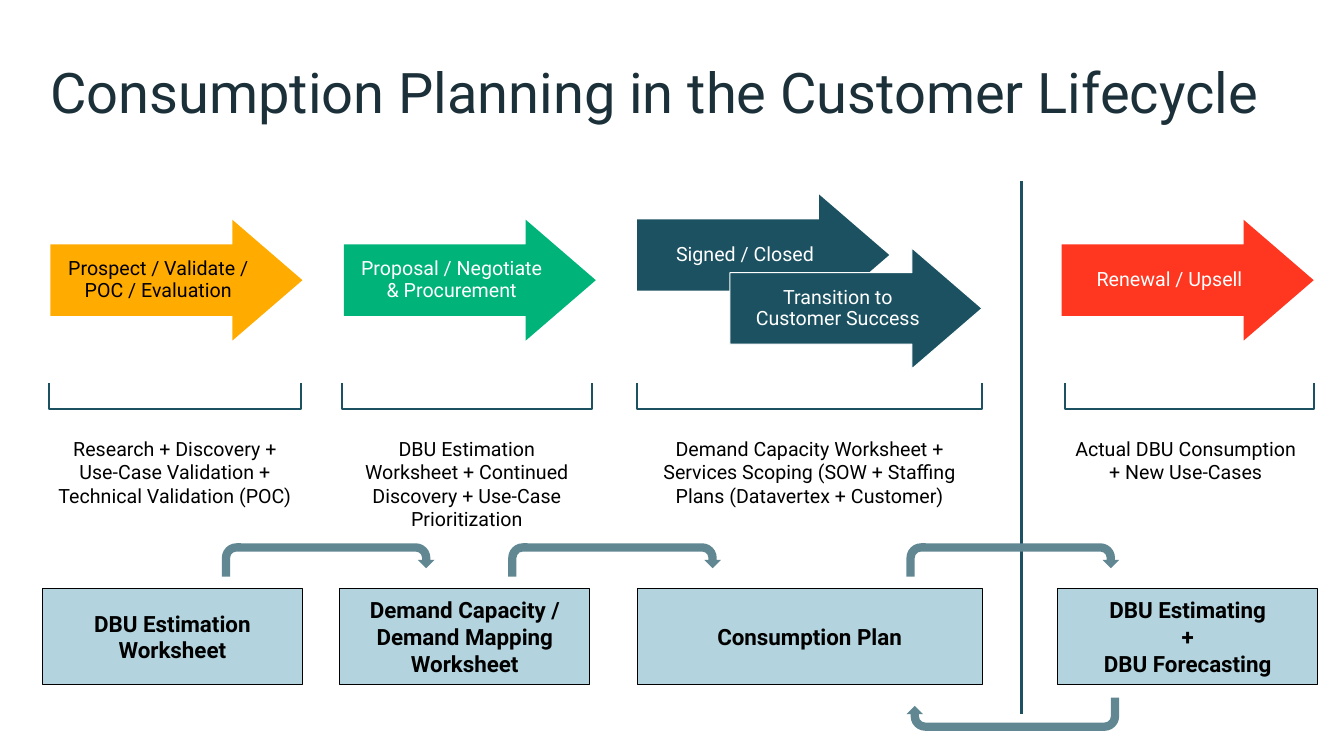
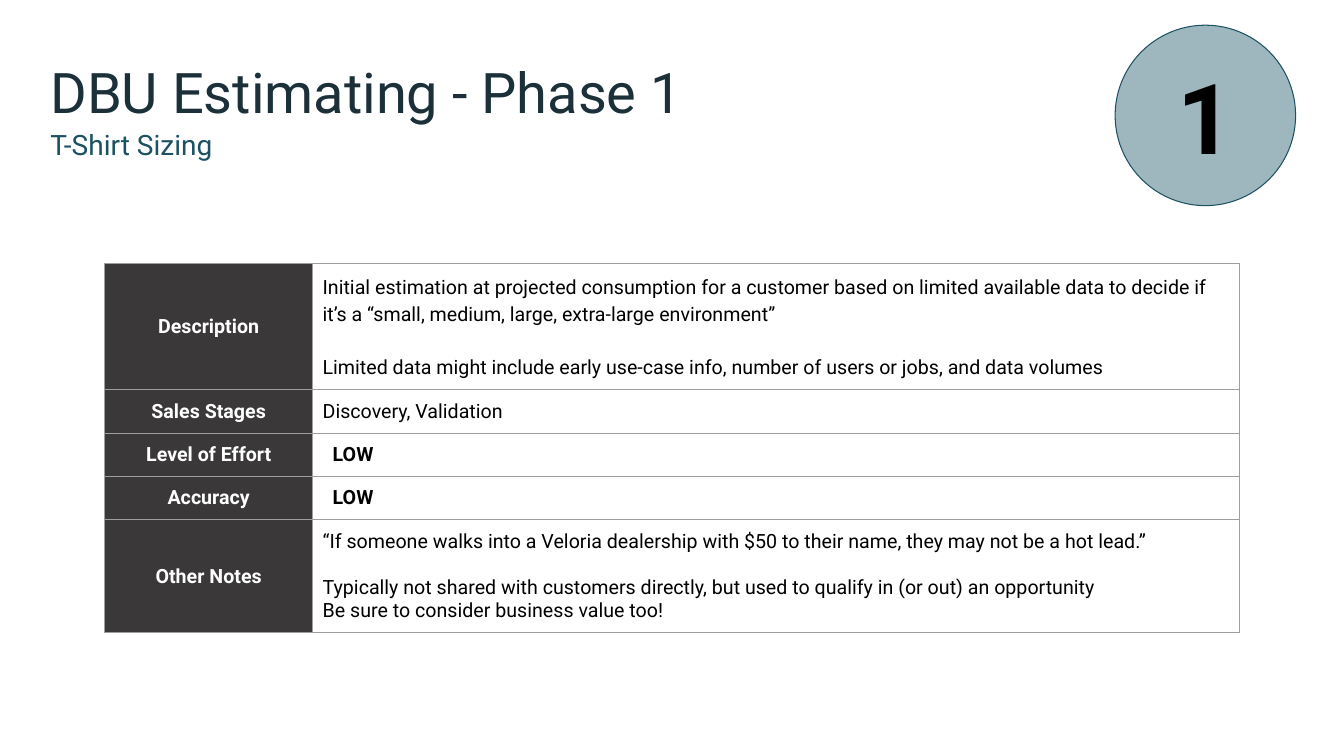
from dataclasses import dataclass
from typing import NamedTuple

from lxml.etree import SubElement
from pptx import Presentation
from pptx.dml.color import RGBColor
from pptx.enum.shapes import MSO_CONNECTOR, MSO_SHAPE
from pptx.enum.text import MSO_ANCHOR, MSO_AUTO_SIZE, PP_ALIGN
from pptx.oxml import parse_xml
from pptx.oxml.ns import nsdecls, qn
from pptx.util import Inches, Pt

FONT = "Roboto"
BLACK, WHITE = "000000", "FFFFFF"
NAVY, TEAL, SLATE = "1B3038", "1B5161", "618793"
SKY, MIST, CHARCOAL, GRAY = "B3D4DE", "9EB7BF", "3A3838", "9E9E9E"


class Span(NamedTuple):
    left: float
    width: float


@dataclass(frozen=True)
class TextStyle:
    size: float
    color: str = BLACK
    bold: bool = False
    align: PP_ALIGN = PP_ALIGN.CENTER
    anchor: MSO_ANCHOR = MSO_ANCHOR.MIDDLE
    margins: tuple = (0.1, 0.1, 0.1, 0.1)
    spacing: float = 1.0
    gap: float = 0


@dataclass(frozen=True)
class Stage:
    bracket: Span
    note_span: Span
    note: str
    box: Span
    tool: str


@dataclass(frozen=True)
class Arrow:
    left: float
    top: float
    fill: str
    text: str
    color: str = WHITE
    line: str | None = None


@dataclass(frozen=True)
class Row:
    height: float
    label: str
    text: str
    style: TextStyle


TITLE = TextStyle(40, NAVY, align=PP_ALIGN.LEFT, anchor=MSO_ANCHOR.BOTTOM,
                  margins=(0, 0, 0, 0), spacing=0.9)
SUBTITLE = TextStyle(20, TEAL, align=PP_ALIGN.LEFT, anchor=MSO_ANCHOR.TOP,
                     margins=(0, 0.05, 0, 0.05), spacing=0.9)
NOTE = TextStyle(14, anchor=MSO_ANCHOR.TOP)
TOOL = TextStyle(16, bold=True)
NUMBER = TextStyle(70, bold=True)
LABEL = TextStyle(14, WHITE, True)
BODY = TextStyle(14, align=PP_ALIGN.LEFT, anchor=MSO_ANCHOR.TOP)
SPACED = TextStyle(14, align=PP_ALIGN.LEFT, anchor=MSO_ANCHOR.TOP, spacing=1.15, gap=19)
RATING = TextStyle(14, bold=True, align=PP_ALIGN.LEFT, anchor=MSO_ANCHOR.TOP,
                   margins=(0.2, 0.1, 0.1, 0.1))

STAGES = [
    Stage(Span(0.49, 2.5), Span(0.46, 2.55),
          "Research + Discovery + Use-Case Validation + Technical Validation (POC)",
          Span(0.42, 2.58), "DBU Estimation Worksheet"),
    Stage(Span(3.39, 2.48), Span(3.39, 2.48),
          "DBU Estimation Worksheet + Continued Discovery + Use-Case Prioritization",
          Span(3.37, 2.48), "Demand Capacity /\nDemand Mapping Worksheet"),
    Stage(Span(6.32, 3.42), Span(6.32, 3.42),
          "Demand Capacity Worksheet + Services Scoping (SOW + Staffing Plans "
          "(Datavertex + Customer)",
          Span(6.32, 3.42), "Consumption Plan"),
    Stage(Span(10.56, 2.47), Span(10.52, 2.48),
          "Actual DBU Consumption + New Use-Cases",
          Span(10.49, 2.58), "DBU Estimating\n+\nDBU Forecasting"),
]
ARROWS = [
    Arrow(0.5, 2.18, "FFAB00", "Prospect / Validate /\nPOC / Evaluation", BLACK),
    Arrow(3.41, 2.18, "00B379", "Proposal / Negotiate & Procurement"),
    Arrow(6.32, 1.93, TEAL, "Signed / Closed"),
    Arrow(7.24, 2.46, TEAL, "Transition to Customer Success", line=WHITE),
    Arrow(10.53, 2.18, "FF3620", "Renewal / Upsell"),
]
ROWS = [
    Row(1.25, "Description",
        "Initial estimation at projected consumption for a customer based on limited "
        "available data to decide if it’s a “small, medium, large, extra-large "
        "environment”\nLimited data might include early use-case info, number of users "
        "or jobs, and data volumes", SPACED),
    Row(0.43, "Sales Stages", "Discovery, Validation", BODY),
    Row(0.43, "Level of Effort", "LOW", RATING),
    Row(0.43, "Accuracy", "LOW", RATING),
    Row(1.12, "Other Notes",
        "“If someone walks into a Veloria dealership with $50 to their name, they may "
        "not be a hot lead.”\nTypically not shared with customers directly, but used to "
        "qualify in (or out) an opportunity\nBe sure to consider business value too!",
        BODY),
]


def rgb(color: str) -> RGBColor:
    """Turn a hex string into a colour."""
    return RGBColor.from_string(color)


def write(tf, text: str, style: TextStyle) -> None:
    """Fill a text frame and format its paragraphs and runs."""
    tf.text = text
    for i, p in enumerate(tf.paragraphs):
        p.alignment = style.align
        p.line_spacing = style.spacing
        p.space_before = Pt(style.gap if i else 0)
        for r in p.runs:
            r.font.name = FONT
            r.font.size = Pt(style.size)
            r.font.bold = style.bold
            r.font.color.rgb = rgb(style.color)


def set_frame(tf, text: str, style: TextStyle) -> None:
    """Lay out the text frame of a shape and write its text."""
    tf.word_wrap = True
    tf.auto_size = MSO_AUTO_SIZE.NONE
    tf.vertical_anchor = style.anchor
    tf.margin_left, tf.margin_top, tf.margin_right, tf.margin_bottom = map(
        Inches, style.margins)
    write(tf, text, style)


def add_slide(prs, title: str, width: float):
    """Add a title-only slide with the shared title style."""
    s = prs.slides.add_slide(prs.slide_layouts[5])
    sp = s.shapes.title
    sp.left, sp.top, sp.width, sp.height = map(Inches, (0.5, 0.25, width, 1))
    set_frame(sp.text_frame, title, TITLE)
    return s


def add_text(s, left: float, top: float, width: float, height: float,
             text: str, style: TextStyle) -> None:
    """Add a wrapped text box."""
    sp = s.shapes.add_textbox(*map(Inches, (left, top, width, height)))
    set_frame(sp.text_frame, text, style)


def add_shape(s, kind: MSO_SHAPE, left: float, top: float, width: float,
              height: float, fill: str, line: str | None = None):
    """Add a flat preset shape."""
    sp = s.shapes.add_shape(kind, *map(Inches, (left, top, width, height)))
    sp.shadow.inherit = False
    sp.fill.solid()
    sp.fill.fore_color.rgb = rgb(fill)
    if line:
        sp.line.color.rgb = rgb(line)
        sp.line.width = Pt(0.75)
    else:
        sp.line.fill.background()
    return sp


def add_arrow(s, arrow: Arrow) -> None:
    """Add one labelled lifecycle arrow."""
    sp = add_shape(s, MSO_SHAPE.RIGHT_ARROW, arrow.left, arrow.top, 2.5, 1.2,
                   arrow.fill, arrow.line)
    sp.adjustments[0], sp.adjustments[1] = 0.59, 0.58
    style = TextStyle(14, arrow.color, margins=(0.15, 0.05, 0.1, 0.05), spacing=0.9)
    set_frame(sp.text_frame, arrow.text, style)


def add_bracket(s, span: Span) -> None:
    """Add the open bracket under a stage."""
    left, right = Inches(span.left), Inches(span.left + span.width)
    top, bottom = Inches(3.8), Inches(4.06)
    outline = s.shapes.build_freeform(left, top)
    outline.add_line_segments([(left, bottom), (right, bottom), (right, top)], close=False)
    sp = outline.convert_to_shape()
    sp.shadow.inherit = False
    sp.fill.background()
    sp.line.color.rgb = rgb(TEAL)
    sp.line.width = Pt(1.5)


def add_stage(s, stage: Stage) -> None:
    """Add the bracket, note and tool box of a stage."""
    add_bracket(s, stage.bracket)
    add_text(s, stage.note_span.left, 4.23, stage.note_span.width, 0.8, stage.note, NOTE)
    sp = add_shape(s, MSO_SHAPE.RECTANGLE, stage.box.left, 5.84, stage.box.width, 0.95,
                   SKY, BLACK)
    set_frame(sp.text_frame, stage.tool, TOOL)


def add_divider(s) -> None:
    """Add the vertical line before renewal."""
    line = s.shapes.add_connector(MSO_CONNECTOR.STRAIGHT,
                                  *map(Inches, (10.13, 1.8, 10.13, 7.08)))
    line.line.color.rgb = rgb(TEAL)
    line.line.width = Pt(2.25)
    SubElement(line._element.spPr, qn("a:effectLst"))


def set_cell(cell, text: str, style: TextStyle, fill: str | None = None) -> None:
    """Write a table cell with its fill and borders."""
    cell.vertical_anchor = style.anchor
    cell.margin_left, cell.margin_top, cell.margin_right, cell.margin_bottom = map(
        Inches, style.margins)
    write(cell.text_frame, text, style)
    if fill:
        cell.fill.solid()
        cell.fill.fore_color.rgb = rgb(fill)
    else:
        cell.fill.background()
    tc_pr = cell._tc.get_or_add_tcPr()
    for i, side in enumerate("LRTB"):
        tc_pr.insert(i, parse_xml(
            f'<a:ln{side} {nsdecls("a")} w="{Pt(0.75)}"><a:solidFill>'
            f'<a:srgbClr val="{GRAY}"/></a:solidFill></a:ln{side}>'))


def add_phase_table(s) -> None:
    """Add the table that describes the phase."""
    height = sum(row.height for row in ROWS)
    table = s.shapes.add_table(len(ROWS), 2, *map(Inches, (1.04, 2.61, 11.25, height))).table
    table.first_row = table.horz_banding = False
    table.columns[0].width, table.columns[1].width = Inches(2.06), Inches(9.19)
    for i, row in enumerate(ROWS):
        table.rows[i].height = Inches(row.height)
        set_cell(table.cell(i, 0), row.label, LABEL, CHARCOAL)
        set_cell(table.cell(i, 1), row.text, row.style)
    table.cell(len(ROWS) - 1, 1).text_frame.paragraphs[1].space_before = Pt(16.4)


def build_lifecycle(prs) -> None:
    """Build the customer lifecycle slide."""
    s = add_slide(prs, "Consumption Planning in the Customer Lifecycle", 12.3)
    for arrow in ARROWS:
        add_arrow(s, arrow)
    for stage in STAGES:
        add_stage(s, stage)
    add_divider(s)
    for left, top, turn in ((2.2, 5.39, 0), (5.04, 5.39, 0), (8.99, 5.39, 0),
                            (8.99, 6.92, 180)):
        sp = add_shape(s, MSO_SHAPE.U_TURN_ARROW, left, top, 2.11, 0.33, SLATE)
        sp.rotation = turn


def build_phase(prs) -> None:
    """Build the first estimating phase slide."""
    s = add_slide(prs, "DBU Estimating - Phase 1", 8.18)
    add_text(s, 0.5, 1.25, 8.18, 0.7, "T-Shirt Sizing", SUBTITLE)
    add_phase_table(s)
    sp = add_shape(s, MSO_SHAPE.OVAL, 11.06, 0.25, 1.79, 1.79, MIST, TEAL)
    set_frame(sp.text_frame, "1", NUMBER)


def main() -> None:
    """Build and save the presentation."""
    prs = Presentation()
    prs.slide_width, prs.slide_height = Inches(13.33), Inches(7.5)
    build_lifecycle(prs)
    build_phase(prs)
    prs.save("out.pptx")


if __name__ == "__main__":
    main()
